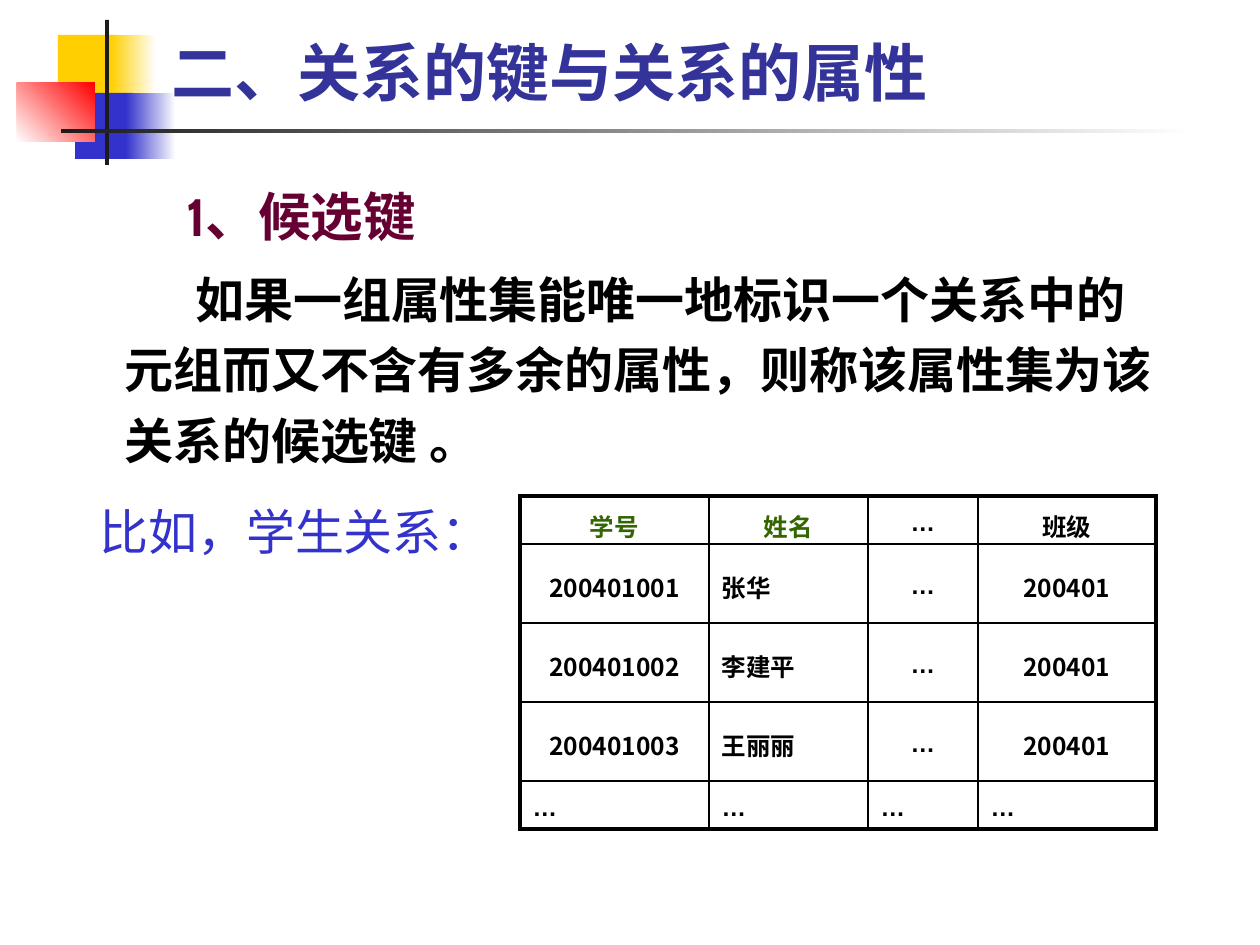
from pptx import Presentation
from pptx.dml.color import RGBColor
from pptx.enum.shapes import MSO_SHAPE
from pptx.enum.text import MSO_ANCHOR, PP_ALIGN
from pptx.oxml.ns import qn
from pptx.util import Pt
from lxml.etree import SubElement

SCALE = 914400 / 126
THEME = {
    "gold": "FFCF01", "blue": "3333CC", "red": "FF0000", "dark": "1C1C1C",
    "white": "FFFFFF", "black": "000000", "navy": "333399", "wine": "660033",
    "green": "336600", "head": 36, "sub": 30, "body": 28, "cell": 14,
    "sans": "Cabin", "cjk": "Noto Sans CJK SC", "dots": "Arial",
}


def px(n):
    return round(n * SCALE)


def style(para, text, size, color, face, bold=True):
    para.text = text
    font = para.font
    font.size = Pt(THEME[size])
    font.bold = bold
    font.color.rgb = RGBColor.from_string(THEME[color])
    font.name = THEME[face]
    props = para._p.pPr.find(qn("a:defRPr"))
    SubElement(props, qn("a:ea"), typeface=THEME["cjk"])


deck = Presentation()
deck.slide_width, deck.slide_height = px(1260), px(945)
slide = deck.slides.add_slide(deck.slide_layouts[6])

blocks = [
    (58, 35, 60, 66, "gold", None, 0),
    (111, 35, 45, 66, "gold", "white", 0),
    (75, 93, 58, 66, "blue", None, 0),
    (126, 93, 50, 66, "blue", "white", 0),
    (17, 83, 78, 59, "white", "red", 45),
    (105, 20, 4, 145, "dark", None, 0),
    (61, 129, 1134, 4, "dark", "white", 0),
]
for left, top, width, height, start, end, angle in blocks:
    block = slide.shapes.add_shape(
        MSO_SHAPE.RECTANGLE, px(left), px(top), px(width), px(height))
    block.shadow.inherit = False
    block.line.fill.background()
    if end:
        block.fill.gradient()
        block.fill.gradient_angle = angle
        for stop, name in zip(block.fill.gradient_stops, (start, end)):
            stop.color.rgb = RGBColor.from_string(THEME[name])
    else:
        block.fill.solid()
        block.fill.fore_color.rgb = RGBColor.from_string(THEME[start])

body = slide.shapes.add_textbox(px(64), px(165), px(1121), px(407)).text_frame
body.word_wrap = True
lines = [
    ("1、候选键", "sub", "wine", "sans", True, 62, 1.2, 0),
    ("如果一组属性集能唯一地标识一个关系中的元组而又不含有多余的属性，则称该属性集为该关系的候选键 。",
     "body", "black", "sans", True, 71, 1.2, 6),
    ("比如，学生关系：", "body", "blue", "cjk", False, -25, 1.55, 0),
]
for i, (text, size, color, face, bold, indent, space, gap) in enumerate(lines):
    para = body.add_paragraph() if i else body.paragraphs[0]
    props = para._p.get_or_add_pPr()
    props.set("marL", str(px(48)))
    props.set("indent", str(px(indent)))
    para.line_spacing = space
    if gap:
        para.space_before = Pt(gap)
    style(para, text, size, color, face, bold)

title = slide.shapes.add_textbox(px(159), px(29), px(1073), px(86)).text_frame
title.word_wrap = True
title.vertical_anchor = MSO_ANCHOR.BOTTOM
style(title.paragraphs[0], "二、关系的键与关系的属性", "head", "navy", "sans")

rows = [
    ("学号", "姓名", "…", "班级"),
    ("200401001", "张华", "…", "200401"),
    ("200401002", "李建平", "…", "200401"),
    ("200401003", "王丽丽", "…", "200401"),
    ("…", "…", "…", "…"),
]
widths = (189, 159, 110, 178)
heights = (48, 79, 79, 79, 48)
table = slide.shapes.add_table(
    len(rows), len(widths), px(520), px(496),
    px(sum(widths)), px(sum(heights))).table
table.first_row = table.horz_banding = False
for col, width in zip(table.columns, widths):
    col.width = px(width)
for row, height in zip(table.rows, heights):
    row.height = px(height)

last, final = len(rows) - 1, len(widths) - 1
for r, row in enumerate(rows):
    for c, text in enumerate(row):
        cell = table.cell(r, c)
        cell.vertical_anchor = MSO_ANCHOR.MIDDLE
        cell.margin_top = cell.margin_bottom = px(5)
        para = cell.text_frame.paragraphs[0]
        para.line_spacing = 1.2
        if r == 0 or (r < last and c != 1):
            para.alignment = PP_ALIGN.CENTER
        color = "green" if r == 0 and c < 2 else "black"
        face = "dots" if text == "…" else "sans" if text == "班级" else "cjk"
        style(para, text, "cell", color, face)
        props = cell._tc.get_or_add_tcPr()
        edges = {"L": c == 0, "R": c == final, "T": r == 0, "B": r == last}
        for side, outer in edges.items():
            line = SubElement(props, qn(f"a:ln{side}"),
                              w=str(Pt(2.25 if outer else 1)))
            fill = SubElement(line, qn("a:solidFill"))
            SubElement(fill, qn("a:srgbClr"), val=THEME["black"])
        cell.fill.background()

deck.save("out.pptx")
